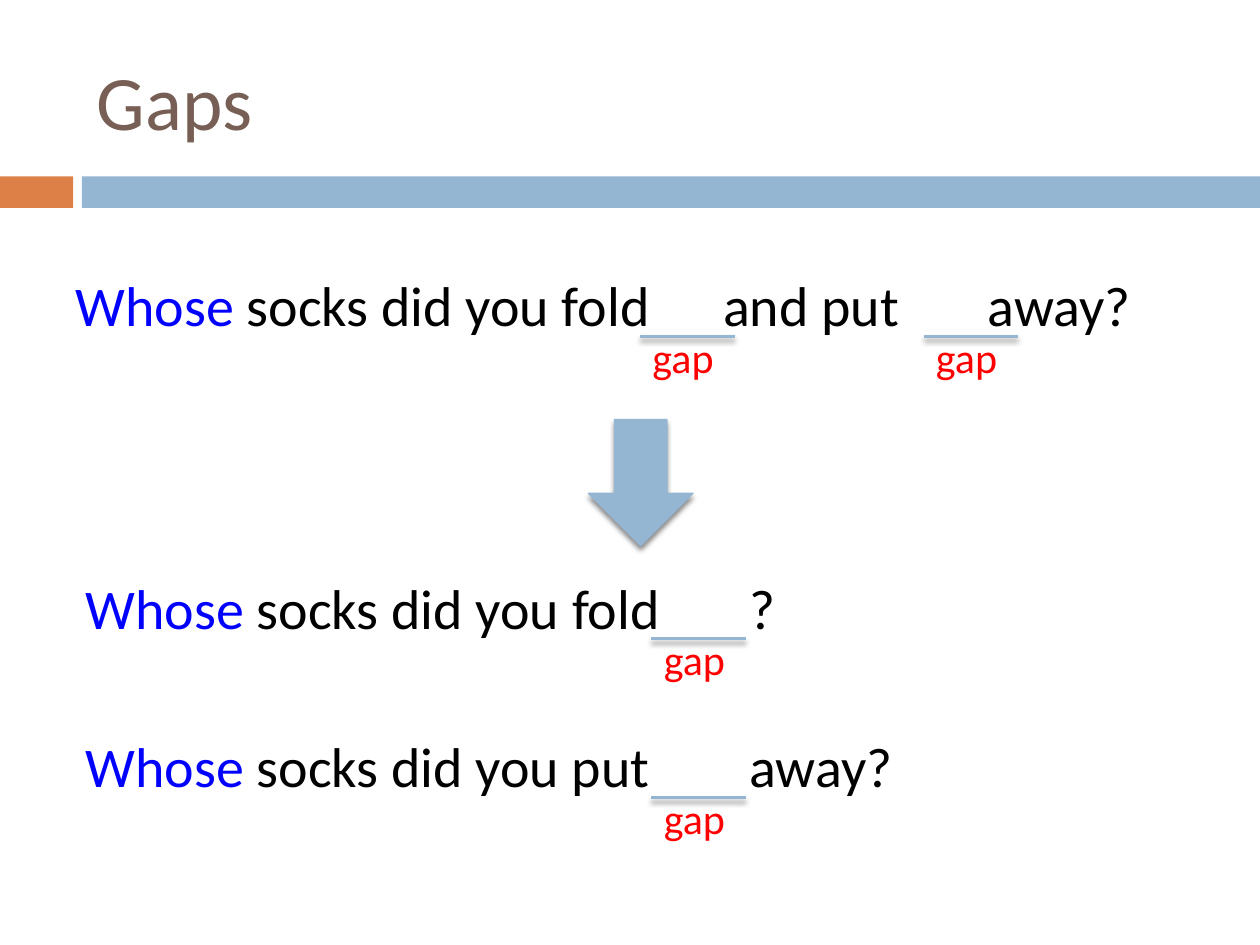
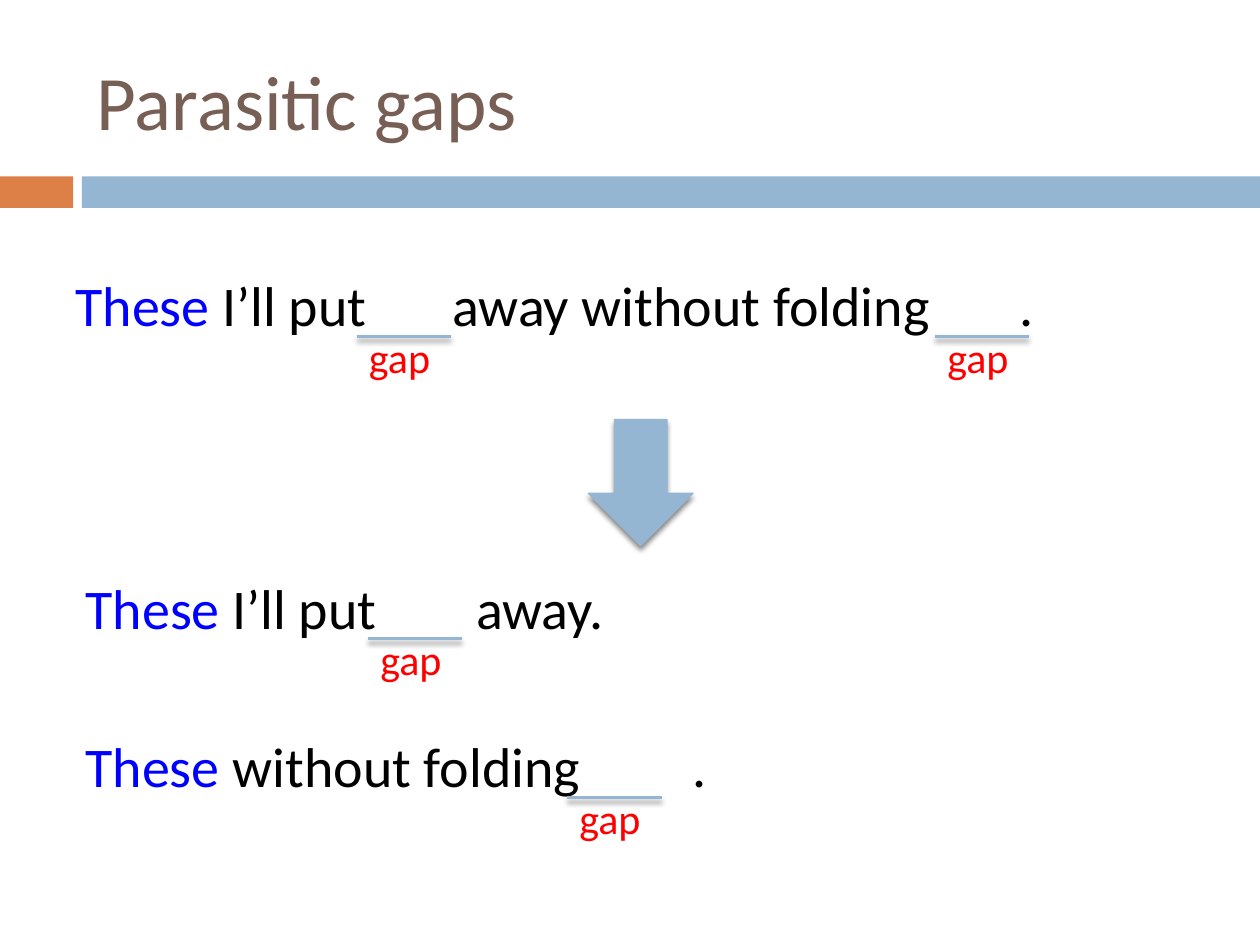
from dataclasses import dataclass
from typing import NamedTuple

from lxml import etree
from pptx import Presentation
from pptx import util as u
from pptx.dml.color import RGBColor
from pptx.enum import shapes, text
from pptx.oxml import ns

Inches, Pt = u.Inches, u.Pt


@dataclass(frozen=True)
class Theme:
    font: str = "Calibri"
    title: str = "775F55"
    accent: str = "DD8047"
    band: str = "94B6D2"
    lead: str = "0000FF"
    body: str = "000000"
    gap: str = "FF0000"
    title_size: int = 44
    body_size: int = 32
    gap_size: int = 24


THEME = Theme()
INSET = 0.1
GAP_WIDTH = 0.75
LINE_DROP, LABEL_DROP = 0.57, 0.48


class Gap(NamedTuple):
    line_left: float    # where the underline starts
    resume_left: float  # where the sentence goes on
    after: str


class Sentence(NamedTuple):
    left: float
    top: float
    width: float
    lead: str
    rest: str
    gaps: list[Gap]


class Lesson(NamedTuple):
    title: str
    sentences: list[Sentence]


def full(lead: str, rest: str, *gaps: Gap) -> Sentence:
    return Sentence(0.5, 2.1, 9.09, lead, rest, list(gaps))


def first_part(lead: str, rest: str, gap: Gap) -> Sentence:
    return Sentence(0.58, 4.5, 5.92, lead, rest, [gap])


def second_part(lead: str, rest: str, gap: Gap) -> Sentence:
    return Sentence(0.58, 5.76, 8, lead, rest, [gap])


LESSONS = [
    Lesson("Gaps", [
        full("Whose", " socks did you fold",
             Gap(5.08, 5.74, "and put"), Gap(7.33, 7.84, "away?")),
        first_part("Whose", " socks did you fold", Gap(5.17, 5.95, "?")),
        second_part("Whose", " socks did you put", Gap(5.17, 5.95, "away?")),
    ]),
    Lesson("Parasitic gaps", [
        full("These", " I’ll put",
             Gap(2.83, 3.59, "away without folding"), Gap(7.42, 8.09, ".")),
        first_part("These", " I’ll put", Gap(2.92, 3.78, "away.")),
        second_part("These", " without folding", Gap(4.5, 5.5, ".")),
    ]),
]


def style_run(run, size: int, color: str) -> None:
    run.font.name = THEME.font
    run.font.size = Pt(size)
    run.font.color.rgb = RGBColor.from_string(color)


def add_text(slide, left: float, top: float, width: float, height: float,
             words: str, size: int, color: str, anchor=text.MSO_ANCHOR.TOP):
    box = slide.shapes.add_textbox(Inches(left), Inches(top), Inches(width), Inches(height))
    frame = box.text_frame
    frame.word_wrap = True
    frame.vertical_anchor = anchor
    frame.text = words
    style_run(frame.paragraphs[0].runs[0], size, color)
    return frame.paragraphs[0]


def add_block(slide, kind, left: float, top: float, width: float, height: float, color: str):
    block = slide.shapes.add_shape(kind, Inches(left), Inches(top), Inches(width), Inches(height))
    block.shadow.inherit = False
    block.fill.solid()
    block.fill.fore_color.rgb = RGBColor.from_string(color)
    block.line.fill.background()
    return block


def set_line(line, width: float) -> None:
    line.color.rgb = RGBColor.from_string(THEME.band)
    line.width = Pt(width)


def add_shadow(shape) -> None:
    """Soft black shadow falling straight down."""
    properties = shape._element.spPr
    effects = properties.find(ns.qn("a:effectLst"))
    if effects is None:
        effects = etree.SubElement(properties, ns.qn("a:effectLst"))
    shadow = etree.SubElement(effects, ns.qn("a:outerShdw"), blurRad=str(Pt(3)),
                              dist=str(Pt(2.4)), dir="5400000", rotWithShape="0")
    color = etree.SubElement(shadow, ns.qn("a:srgbClr"), val="000000")
    etree.SubElement(color, ns.qn("a:alpha"), val="45000")


def add_tab_stops(paragraph, positions: list[float]) -> None:
    stops = etree.SubElement(paragraph._p.get_or_add_pPr(), ns.qn("a:tabLst"))
    for position in positions:
        etree.SubElement(stops, ns.qn("a:tab"), pos=str(Inches(position)), algn="l")


def add_gap(slide, left: float, sentence_top: float) -> None:
    y = Inches(sentence_top + LINE_DROP)
    underline = slide.shapes.add_connector(
        shapes.MSO_CONNECTOR.STRAIGHT, Inches(left), y, Inches(left + GAP_WIDTH), y)
    set_line(underline.line, 1.5)
    add_shadow(underline)
    add_text(slide, left, sentence_top + LABEL_DROP, 1.75, 0.5,
             "gap", THEME.gap_size, THEME.gap)


def add_sentence(slide, sentence: Sentence) -> None:
    paragraph = add_text(slide, sentence.left, sentence.top, sentence.width, 0.64,
                         sentence.lead, THEME.body_size, THEME.lead)
    rest = paragraph.add_run()
    rest.text = "\t".join([sentence.rest, *(gap.after for gap in sentence.gaps)])
    style_run(rest, THEME.body_size, THEME.body)
    add_tab_stops(paragraph, [gap.resume_left - sentence.left - INSET for gap in sentence.gaps])
    for gap in sentence.gaps:
        add_gap(slide, gap.line_left, sentence.top)


def add_lesson(deck, lesson: Lesson) -> None:
    slide = deck.slides.add_slide(deck.slide_layouts[6])

    # Title and bands
    rectangle = shapes.MSO_SHAPE.RECTANGLE
    add_block(slide, rectangle, 0, 1.4, 0.58, 0.25, THEME.accent)
    add_block(slide, rectangle, 0.65, 1.4, 9.35, 0.25, THEME.band)
    add_text(slide, 0.67, 0.25, 8.92, 1.08, lesson.title,
             THEME.title_size, THEME.title, text.MSO_ANCHOR.MIDDLE)

    # Arrow from the full sentence to its parts
    arrow = add_block(slide, shapes.MSO_SHAPE.DOWN_ARROW, 4.67, 3.33, 0.83, 1, THEME.band)
    set_line(arrow.line, 0.79)
    add_shadow(arrow)

    # Sentences with their gaps
    for sentence in lesson.sentences:
        add_sentence(slide, sentence)


def main() -> None:
    deck = Presentation()
    deck.slide_width, deck.slide_height = Inches(10), Inches(7.5)
    for lesson in LESSONS:
        add_lesson(deck, lesson)
    deck.save("out.pptx")


if __name__ == "__main__":
    main()
